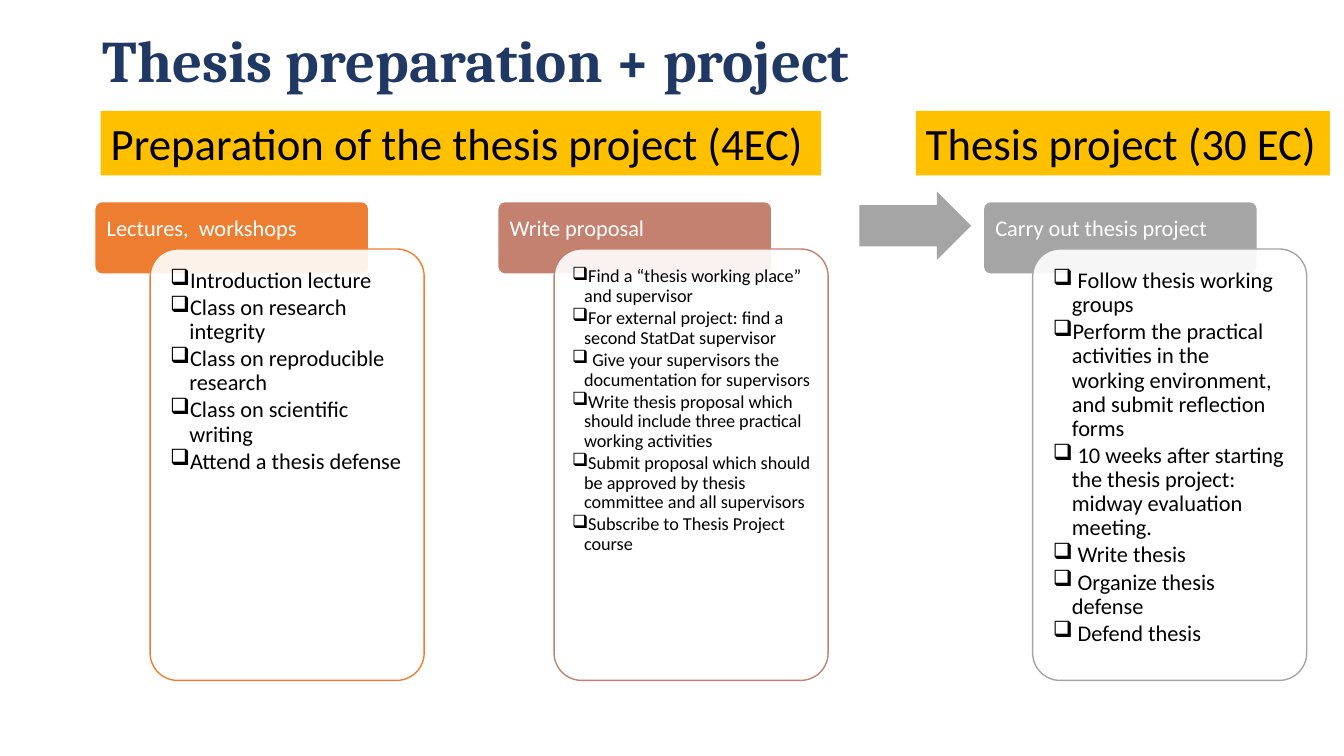
from lxml.etree import SubElement
from pptx import Presentation
from pptx.dml.color import RGBColor
from pptx.enum.shapes import MSO_SHAPE
from pptx.enum.text import MSO_ANCHOR, PP_ALIGN
from pptx.oxml.ns import qn
from pptx.util import Emu, Pt

EMU_PER_PX = 9144
SLIDE_WIDTH, SLIDE_HEIGHT = 1334, 750
NAVY, AMBER, BLACK, WHITE = "203864", "FFC000", "000000", "FFFFFF"
ORANGE, ROSE, GREY = "ED7D31", "C48170", "A5A5A5"
CARD_WIDTH = 272
HEADER_TOP, HEADER_HEIGHT = 200, 72
PANEL_TOP, PANEL_HEIGHT = 247, 428

BANNERS = [
    (100, 715, "Preparation of the thesis project (4EC)"),
    (909, 411, "Thesis project (30 EC)"),
]
CARDS = [
    dict(header_left=94, panel_left=149, color=ORANGE, heading="Lectures,  workshops",
         size=16, inset=12, indent=19, items=[
             "Introduction lecture",
             "Class on research integrity",
             "Class on reproducible research",
             "Class on scientific writing",
             "Attend a thesis defense",
         ]),
    dict(header_left=494, panel_left=550, color=ROSE, heading="Write proposal",
         size=13, inset=10, indent=12, items=[
             "Find a “thesis working place” and supervisor",
             "For external project: find a second StatDat supervisor",
             " Give your supervisors the documentation for supervisors",
             "Write thesis proposal which should include three practical working activities",
             "Submit proposal which should be approved by thesis committee and all supervisors",
             "Subscribe to Thesis Project course",
         ]),
    dict(header_left=976, panel_left=1025, color=GREY, heading="Carry out thesis project",
         size=16, inset=12, indent=19, items=[
             " Follow thesis working groups",
             "Perform the practical activities in the working environment, "
             "and submit reflection forms",
             " 10 weeks after starting the thesis project: midway evaluation meeting.",
             " Write thesis",
             " Organize thesis defense",
             " Defend thesis",
         ]),
]


def px(length):
    """Turn pixels into EMU."""
    return Emu(length * EMU_PER_PX)


def rgb(color):
    """Turn a hex string into a colour."""
    return RGBColor.from_string(color)


def add_box(slide, kind, box, fill, line=None, adjustments=(), opacity=100):
    """Add a flat preset shape."""
    shape = slide.shapes.add_shape(kind, *map(px, box))
    shape.shadow.inherit = False
    for index, value in enumerate(adjustments):
        shape.adjustments[index] = value
    shape.fill.solid()
    shape.fill.fore_color.rgb = rgb(fill)
    if opacity < 100:
        color = shape.fill._xPr.find(qn("a:solidFill"))[0]
        SubElement(color, qn("a:alpha"), val=str(opacity * 1000))
    if line:
        shape.line.color.rgb = rgb(line)
        shape.line.width = Pt(1)
    else:
        shape.line.fill.background()
    return shape


def add_bullet(paragraph, indent):
    """Give a paragraph a hanging box bullet."""
    properties = paragraph._p.get_or_add_pPr()
    properties.set("marL", str(px(indent)))
    properties.set("indent", str(-px(indent)))
    SubElement(properties, qn("a:buChar"), char="❑")


def write(shape, *texts, size, color, font="Calibri", bold=False, insets=(10, 5),
          anchor=MSO_ANCHOR.TOP, wrap=True, spacing=None, after=0, indent=0):
    """Write one formatted paragraph per text into a shape."""
    frame = shape.text_frame
    frame.word_wrap = wrap
    frame.vertical_anchor = anchor
    frame.margin_left = frame.margin_right = px(insets[0])
    frame.margin_top = frame.margin_bottom = px(insets[1])
    for index, text in enumerate(texts):
        paragraph = frame.add_paragraph() if index else frame.paragraphs[0]
        paragraph.alignment = PP_ALIGN.LEFT
        paragraph.line_spacing = spacing
        paragraph.space_after = Pt(after)
        if indent:
            add_bullet(paragraph, indent)
        run = paragraph.add_run()
        run.text = text
        run.font.name = font
        run.font.size = Pt(size)
        run.font.bold = bold
        run.font.color.rgb = rgb(color)


def add_title(slide, text):
    """Add the slide title."""
    shape = slide.shapes.add_textbox(px(92), px(1), px(1150), px(124))
    write(shape, text, size=42, color=NAVY, font="Cambria", bold=True,
          anchor=MSO_ANCHOR.MIDDLE, spacing=0.9)


def add_banner(slide, left, width, text):
    """Add a phase banner."""
    shape = add_box(slide, MSO_SHAPE.RECTANGLE, (left, 110, width, 64), AMBER)
    write(shape, text, size=32, color=BLACK, wrap=False)


def add_card(slide, header_left, panel_left, color, heading, size, inset, indent, items):
    """Add a coloured header with an overlapping bullet panel."""
    header = add_box(slide, MSO_SHAPE.ROUNDED_RECTANGLE,
                     (header_left, HEADER_TOP, CARD_WIDTH, HEADER_HEIGHT),
                     color, line=WHITE, adjustments=[0.1])
    write(header, heading, size=16, color=WHITE, insets=(10, 10))
    panel = add_box(slide, MSO_SHAPE.ROUNDED_RECTANGLE,
                    (panel_left, PANEL_TOP, CARD_WIDTH, PANEL_HEIGHT),
                    WHITE, line=color, adjustments=[0.1], opacity=90)
    write(panel, *items, size=size, color=BLACK, insets=(inset, inset),
          spacing=0.9, after=size * 0.13, indent=indent)


def main():
    """Build and save the slide."""
    presentation = Presentation()
    presentation.slide_width = px(SLIDE_WIDTH)
    presentation.slide_height = px(SLIDE_HEIGHT)
    slide = presentation.slides.add_slide(presentation.slide_layouts[6])
    add_title(slide, "Thesis preparation + project")
    for card in CARDS:
        add_card(slide, **card)
    add_box(slide, MSO_SHAPE.RIGHT_ARROW, (853, 190, 111, 68), GREY, adjustments=[0.6, 0.5])
    for banner in BANNERS:
        add_banner(slide, *banner)
    presentation.save("out.pptx")


if __name__ == "__main__":
    main()
